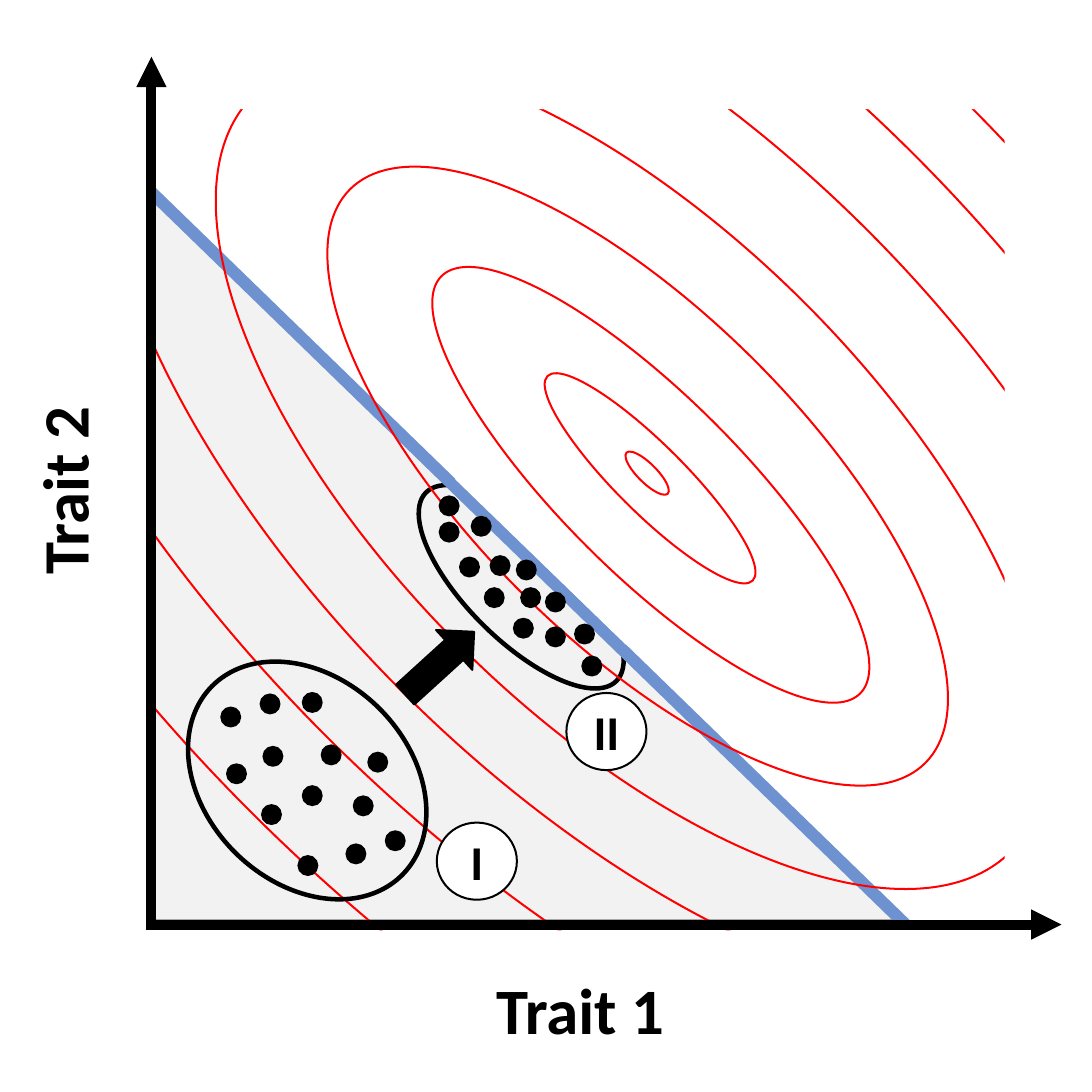
from dataclasses import dataclass

from lxml import etree
from pptx import Presentation
from pptx.dml.color import RGBColor
from pptx.enum.shapes import MSO_CONNECTOR, MSO_SHAPE
from pptx.enum.text import MSO_ANCHOR, PP_ALIGN
from pptx.oxml.ns import qn
from pptx.util import Inches, Pt

OVAL = MSO_SHAPE.OVAL
RECTANGLE = MSO_SHAPE.RECTANGLE
TRIANGLE = MSO_SHAPE.ISOSCELES_TRIANGLE
ARROW = MSO_SHAPE.RIGHT_ARROW
STRAIGHT = MSO_CONNECTOR.STRAIGHT
CENTER = PP_ALIGN.CENTER
MIDDLE = MSO_ANCHOR.MIDDLE


@dataclass
class Theme:
    font: str = "Calibri"
    black: str = "000000"
    white: str = "FFFFFF"
    region: str = "F2F2F2"
    region_edge: str = "A6A6A6"
    contour: str = "FF0000"
    constraint: str = "6E91D0"
    axis_size: int = 32
    badge_size: int = 24


theme = Theme()
deck = Presentation()
deck.slide_width = deck.slide_height = Inches(7.5)
page = deck.slides.add_slide(deck.slide_layouts[6])


def add_figure(kind, bounds, fill=None, line=None, weight=1, rotation=0):
    figure = page.shapes.add_shape(kind, *map(Inches, bounds))
    figure.shadow.inherit = False
    figure.rotation = rotation
    if fill:
        figure.fill.solid()
        figure.fill.fore_color.rgb = RGBColor.from_string(fill)
    else:
        figure.fill.background()
    if line:
        figure.line.color.rgb = RGBColor.from_string(line)
        figure.line.width = Pt(weight)
    else:
        figure.line.fill.background()
    return figure


def add_line(start, end, color, weight):
    line = page.shapes.add_connector(STRAIGHT, *map(Inches, start + end))
    line.line.color.rgb = RGBColor.from_string(color)
    line.line.width = Pt(weight)
    properties = line._element.spPr
    etree.SubElement(properties, qn("a:effectLst"))
    return line


region = add_figure(TRIANGLE, (1.04, 1.34, 5.14, 4.98), theme.region, theme.region_edge)
region.adjustments[0] = 0
add_figure(OVAL, (3.21, 3.11, 0.74, 1.84), line=theme.black, weight=2.25, rotation=314.7)
add_line((1.04, 1.32), (6.22, 6.35), theme.constraint, 6)
add_figure(RECTANGLE, (2.97, 3.68, 1.63, 0.21), theme.white, rotation=44.1)

contours = [
    (4.38, 3.05, 0.13, 0.4),
    (4.23, 2.29, 0.47, 1.99),
    (3.86, 1.3, 1.22, 4.06),
    (3.25, 0.48, 2.26, 5.58),
    (2.67, -0.42, 3.34, 7.35),
    (2.11, -1.54, 4.5, 9.41),
    (1.42, -2.72, 5.68, 11.56),
    (0.72, -3.61, 6.92, 13.5),
]
for contour in contours:
    add_figure(OVAL, contour, line=theme.contour, rotation=314.9)

margins = [
    (0, 0, 7.5, 0.75),
    (6.9, 0, 0.6, 7.5),
    (0, 6.39, 7.5, 1.11),
    (0, 0, 1.01, 7.5),
]
for margin in margins:
    add_figure(RECTANGLE, margin, theme.white)

add_figure(ARROW, (2.7, 4.37, 0.64, 0.37), theme.black, theme.black, rotation=317.7)
add_figure(OVAL, (1.41, 4.44, 1.4, 1.84), line=theme.black, weight=2.25, rotation=314.7)

population_one = [
    (1.56, 5.25), (1.52, 4.86), (1.81, 5.13), (1.79, 4.77), (1.8, 5.53),
    (2.08, 5.4), (2.08, 4.76), (2.05, 5.88), (2.38, 5.8), (2.43, 5.47),
    (2.21, 5.12), (2.53, 5.17), (2.65, 5.71),
]
population_two = [
    (3.02, 3.59), (3.02, 3.41), (3.24, 3.55), (3.37, 3.82), (3.16, 3.83),
    (3.33, 4.04), (3.58, 4.04), (3.75, 4.31), (3.95, 4.29), (4, 4.51),
    (3.75, 4.07), (3.53, 4.25), (3.55, 3.85),
]
for left, top in population_one + population_two:
    add_figure(OVAL, (left, top, 0.13, 0.13), theme.black, theme.black)

badges = [("I", 3, 5.65), ("II", 3.89, 4.76)]
for label, left, top in badges:
    badge = add_figure(OVAL, (left, top, 0.55, 0.53), theme.white, theme.black)
    frame = badge.text_frame
    frame.word_wrap = False
    frame.vertical_anchor = MIDDLE
    para = frame.paragraphs[0]
    para.text = label
    para.alignment = CENTER
    para.font.name = theme.font
    para.font.size = Pt(theme.badge_size)
    para.font.bold = True
    para.font.color.rgb = RGBColor.from_string(theme.black)

axis_labels = [("Trait 2", -0.25, 3.05, 270), ("Trait 1", 3.3, 6.61, 0)]
for label, left, top, rotation in axis_labels:
    box = page.shapes.add_textbox(Inches(left), Inches(top), Inches(1.37), Inches(0.64))
    box.rotation = rotation
    box.text_frame.word_wrap = False
    para = box.text_frame.paragraphs[0]
    para.text = label
    para.alignment = CENTER
    para.font.name = theme.font
    para.font.size = Pt(theme.axis_size)
    para.font.bold = True
    para.font.color.rgb = RGBColor.from_string(theme.black)

axes = [((1.04, 6.39), (1.04, 0.39)), ((1.03, 6.35), (7.29, 6.35))]
for start, end in axes:
    axis = add_line(start, end, theme.black, 5)
    outline = axis.line._get_or_add_ln()
    etree.SubElement(outline, qn("a:tailEnd"), type="triangle")

deck.save("out.pptx")
